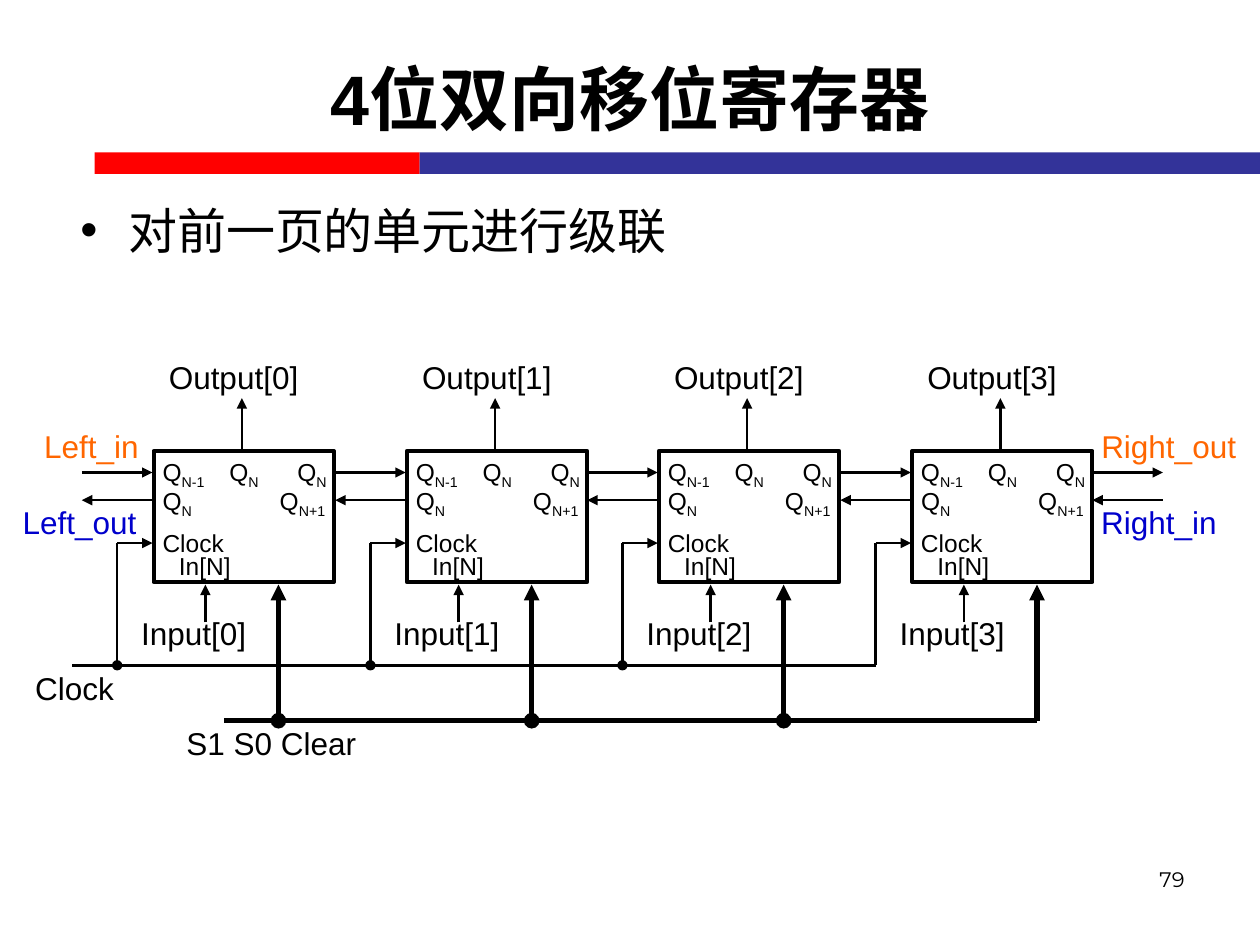
"""Build the slide on a 4-bit bidirectional shift register made of cascaded cells."""
from typing import NamedTuple

from lxml import etree
from pptx import Presentation
from pptx.dml.color import RGBColor
from pptx.enum.shapes import MSO_CONNECTOR, MSO_SHAPE
from pptx.enum.text import MSO_ANCHOR, MSO_AUTO_SIZE, PP_ALIGN
from pptx.oxml.ns import qn
from pptx.util import Inches, Pt

STRAIGHT = MSO_CONNECTOR.STRAIGHT
RECTANGLE = MSO_SHAPE.RECTANGLE
TOP, MIDDLE = MSO_ANCHOR.TOP, MSO_ANCHOR.MIDDLE
LEFT, CENTER, RIGHT = PP_ALIGN.LEFT, PP_ALIGN.CENTER, PP_ALIGN.RIGHT
GROW = MSO_AUTO_SIZE.SHAPE_TO_FIT_TEXT

COLORS = {
    "black": "000000",
    "red": "FF0000",
    "indigo": "333399",
    "orange": "FF6600",
    "blue": "0000CC",
}
LABEL_FRAME = {
    "margin_left": 0,
    "margin_top": 0,
    "margin_right": 0,
    "margin_bottom": 0,
    "word_wrap": False,
    "auto_size": GROW,
}
CJK_FONT = "Noto Sans CJK SC"
THIN, THICK, OUTLINE = 1.5, 3, 2.38
CELL_LEFTS = (1.22, 3.23, 5.23, 7.24)
CELL_TOP, CELL_WIDTH, CELL_HEIGHT = 3.58, 1.43, 1.04
RIGHT_SHIFT_Y, LEFT_SHIFT_Y, CLOCK_PIN_Y = 3.75, 3.97, 4.31
CLOCK_BUS_Y, CONTROL_BUS_Y, PIN_TIP_Y = 5.28, 5.72, 4.64
LINK = 0.56


class Label(NamedTuple):
    """A wire or pin label with an optional subscript."""

    left: float
    top: float
    width: float
    text: str
    subscript: str = ""
    size: float = 18
    color: str = "black"
    height: float = 0.3


class Wire(NamedTuple):
    """A straight wire with optional end marks."""

    x1: float
    y1: float
    x2: float
    y2: float
    width: float = THIN
    head: str = ""
    tail: str = ""


class Heading(NamedTuple):
    """A page text with its frame and format."""

    box: tuple
    text: str
    font: dict
    align: int = LEFT
    anchor: int = TOP
    bullet: str = ""


SIGNALS = (
    Label(0.18, 3.99, 0.91, "Left_out", color="blue"),
    Label(0.35, 3.39, 0.76, "Left_in", color="orange"),
    Label(8.74, 3.99, 0.93, "Right_in", color="blue"),
    Label(8.74, 3.39, 1.08, "Right_out", color="orange"),
    Label(1.48, 5.75, 1.39, "S1 S0 Clear", height=0.34),
    Label(0.28, 5.31, 0.63, "Clock"),
)
PINS = (
    Label(0.07, 4.19, 0.5, "Clock"),
    Label(0.2, 4.37, 0.43, "In[N]"),
    Label(0.07, 3.63, 0.36, "Q", "N-1"),
    Label(0.6, 3.63, 0.25, "Q", "N"),
    Label(1.14, 3.63, 0.25, "Q", "N"),
    Label(0.07, 3.86, 0.25, "Q", "N"),
    Label(1.0, 3.86, 0.4, "Q", "N+1"),
)
HEADINGS = (
    Heading((0.5, 0.15, 9, 1.25), "4位双向移位寄存器",
            {"name": "Arial", "size": Pt(40), "bold": True}, CENTER, MIDDLE),
    Heading((0.54, 1.54, 8.83, 5.21), "对前一页的单元进行级联",
            {"name": CJK_FONT, "size": Pt(28)}, bullet="•"),
    Heading((7.17, 6.83, 2.33, 0.52), "79",
            {"name": "Montserrat", "size": Pt(12)}, RIGHT),
)


def rgb(color: str) -> RGBColor:
    """Look up a named colour."""
    return RGBColor.from_string(COLORS[color])


def add_run(paragraph, text: str, font: dict, color: str = "black"):
    """Add a run with the given font values."""
    run = paragraph.add_run()
    run.text = text
    for attribute, value in font.items():
        setattr(run.font, attribute, value)
    run.font.color.rgb = rgb(color)
    properties = run._r.get_or_add_rPr()
    etree.SubElement(properties, qn("a:ea")).set("typeface", CJK_FONT)
    return properties


def draw_heading(slide, heading: Heading) -> None:
    """Draw a title, bullet or page number."""
    frame = slide.shapes.add_textbox(*map(Inches, heading.box)).text_frame
    frame.word_wrap = True
    frame.vertical_anchor = heading.anchor
    paragraph = frame.paragraphs[0]
    paragraph.alignment = heading.align
    if heading.bullet:
        properties = paragraph._p.get_or_add_pPr()
        properties.set("marL", str(Inches(0.38)))
        properties.set("indent", str(Inches(-0.38)))
        etree.SubElement(properties, qn("a:buFont")).set("typeface", "Arial")
        etree.SubElement(properties, qn("a:buChar")).set("char", heading.bullet)
    add_run(paragraph, heading.text, heading.font)


def draw_label(slide, label: Label) -> None:
    """Draw a label without insets or wrapping."""
    box = (label.left, label.top, label.width, label.height)
    frame = slide.shapes.add_textbox(*map(Inches, box)).text_frame
    for attribute, value in LABEL_FRAME.items():
        setattr(frame, attribute, value)
    font = {"name": "Arial", "size": Pt(label.size)}
    add_run(frame.paragraphs[0], label.text, font, label.color)
    if label.subscript:
        properties = add_run(frame.paragraphs[0], label.subscript, font, label.color)
        properties.set("baseline", "-25000")


def draw_wire(slide, wire: Wire) -> None:
    """Draw a wire and its end marks."""
    ends = map(Inches, (wire.x1, wire.y1, wire.x2, wire.y2))
    connector = slide.shapes.add_connector(STRAIGHT, *ends)
    connector.line.color.rgb = rgb("black")
    connector.line.width = Pt(wire.width)
    outline = connector.line._get_or_add_ln()
    for tag, mark in (("a:headEnd", wire.head), ("a:tailEnd", wire.tail)):
        if mark:
            etree.SubElement(outline, qn(tag)).set("type", mark)
    etree.SubElement(connector._element.spPr, qn("a:effectLst"))


def draw_bar(slide, left: float, width: float, color: str) -> None:
    """Draw one part of the band under the title."""
    bar = slide.shapes.add_shape(RECTANGLE, *map(Inches, (left, 1.21, width, 0.17)))
    bar.shadow.inherit = False
    bar.fill.solid()
    bar.fill.fore_color.rgb = rgb(color)
    bar.line.fill.background()


def draw_shift_links(slide, right: float) -> None:
    """Draw the pair of shift wires that ends at the given x."""
    left = right - LINK
    draw_wire(slide, Wire(left, RIGHT_SHIFT_Y, right, RIGHT_SHIFT_Y, tail="triangle"))
    draw_wire(slide, Wire(right, LEFT_SHIFT_Y, left, LEFT_SHIFT_Y, tail="triangle"))


def draw_cell(slide, index: int, left: float) -> None:
    """Draw one register cell with its pins and wires."""
    box = (left, CELL_TOP, CELL_WIDTH, CELL_HEIGHT)
    cell = slide.shapes.add_shape(RECTANGLE, *map(Inches, box))
    cell.shadow.inherit = False
    cell.fill.background()
    cell.line.color.rgb = rgb("black")
    cell.line.width = Pt(OUTLINE)
    for pin in PINS:
        draw_label(slide, pin._replace(left=left + pin.left, size=14, height=0.24))
    draw_label(slide, Label(left - 0.1, 4.87, 0.84, f"Input[{index}]"))
    draw_label(slide, Label(left + 0.12, 2.84, 1.04, f"Output[{index}]"))
    draw_shift_links(slide, left - 0.01)
    joint = "" if left == CELL_LEFTS[-1] else "oval"
    clock_x, output_x, input_x, control_x = (left + d for d in (-0.29, 0.7, 0.41, 0.99))
    for wire in (
        Wire(output_x, CELL_TOP, output_x, 3.16, tail="triangle"),
        Wire(clock_x, CLOCK_PIN_Y, left - 0.01, CLOCK_PIN_Y, tail="triangle"),
        Wire(clock_x, CLOCK_PIN_Y, clock_x, CLOCK_BUS_Y, tail=joint),
        Wire(input_x, 4.94, input_x, PIN_TIP_Y, tail="triangle"),
        Wire(control_x, CONTROL_BUS_Y, control_x, PIN_TIP_Y, THICK, joint, "triangle"),
    ):
        draw_wire(slide, wire)


def main() -> None:
    """Build and save the slide."""
    deck = Presentation()
    deck.slide_width, deck.slide_height = Inches(10), Inches(7.5)
    slide = deck.slides.add_slide(deck.slide_layouts[6])
    draw_bar(slide, 0.75, 2.58, "red")
    draw_bar(slide, 3.33, 6.67, "indigo")
    for heading in HEADINGS:
        draw_heading(slide, heading)
    for signal in SIGNALS:
        draw_label(slide, signal)
    for index, left in enumerate(CELL_LEFTS):
        draw_cell(slide, index, left)
    draw_shift_links(slide, 9.23)
    draw_wire(slide, Wire(6.95, CLOCK_BUS_Y, 0.57, CLOCK_BUS_Y))
    draw_wire(slide, Wire(8.23, CONTROL_BUS_Y, 1.78, CONTROL_BUS_Y, THICK))
    deck.save("out.pptx")


if __name__ == "__main__":
    main()
